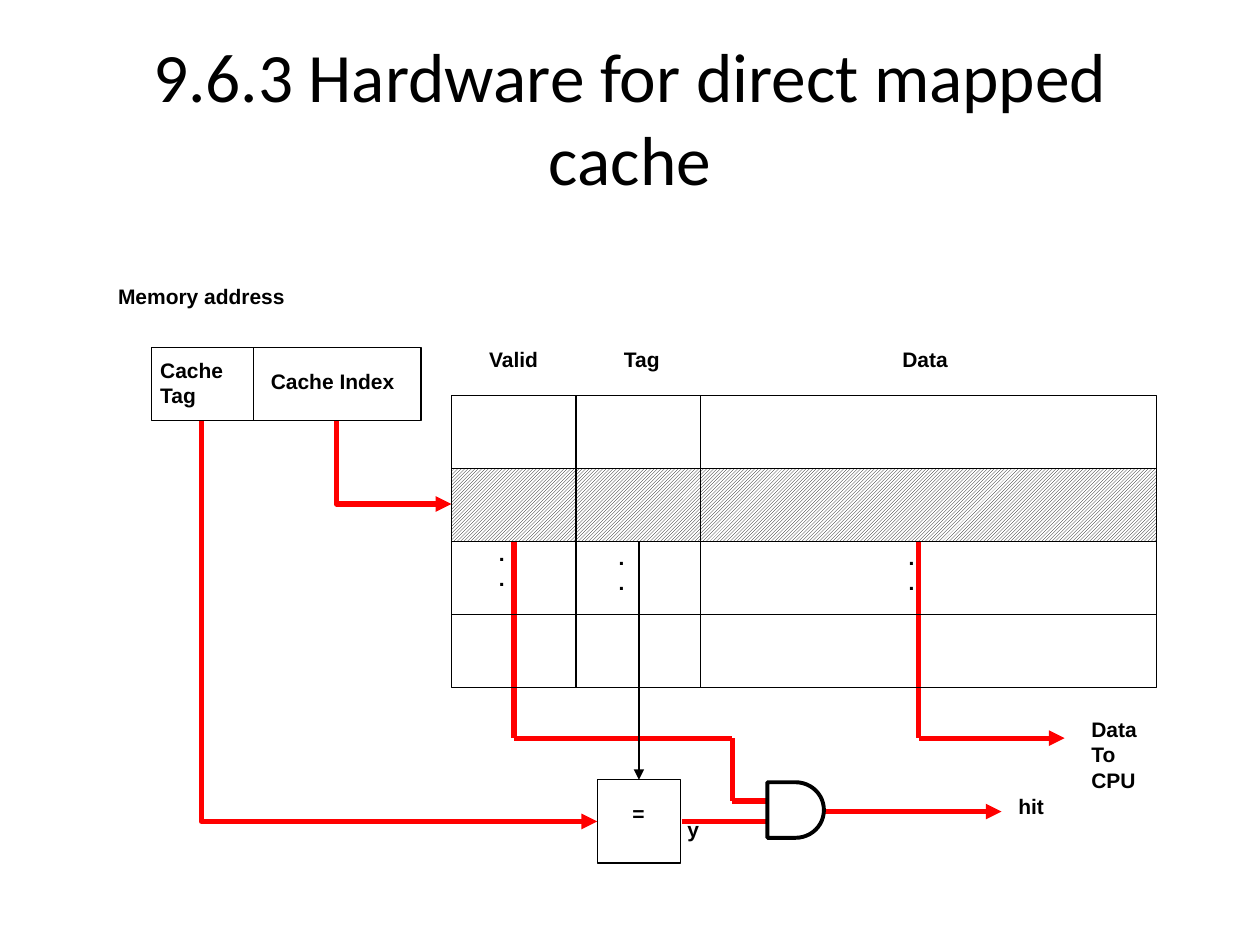
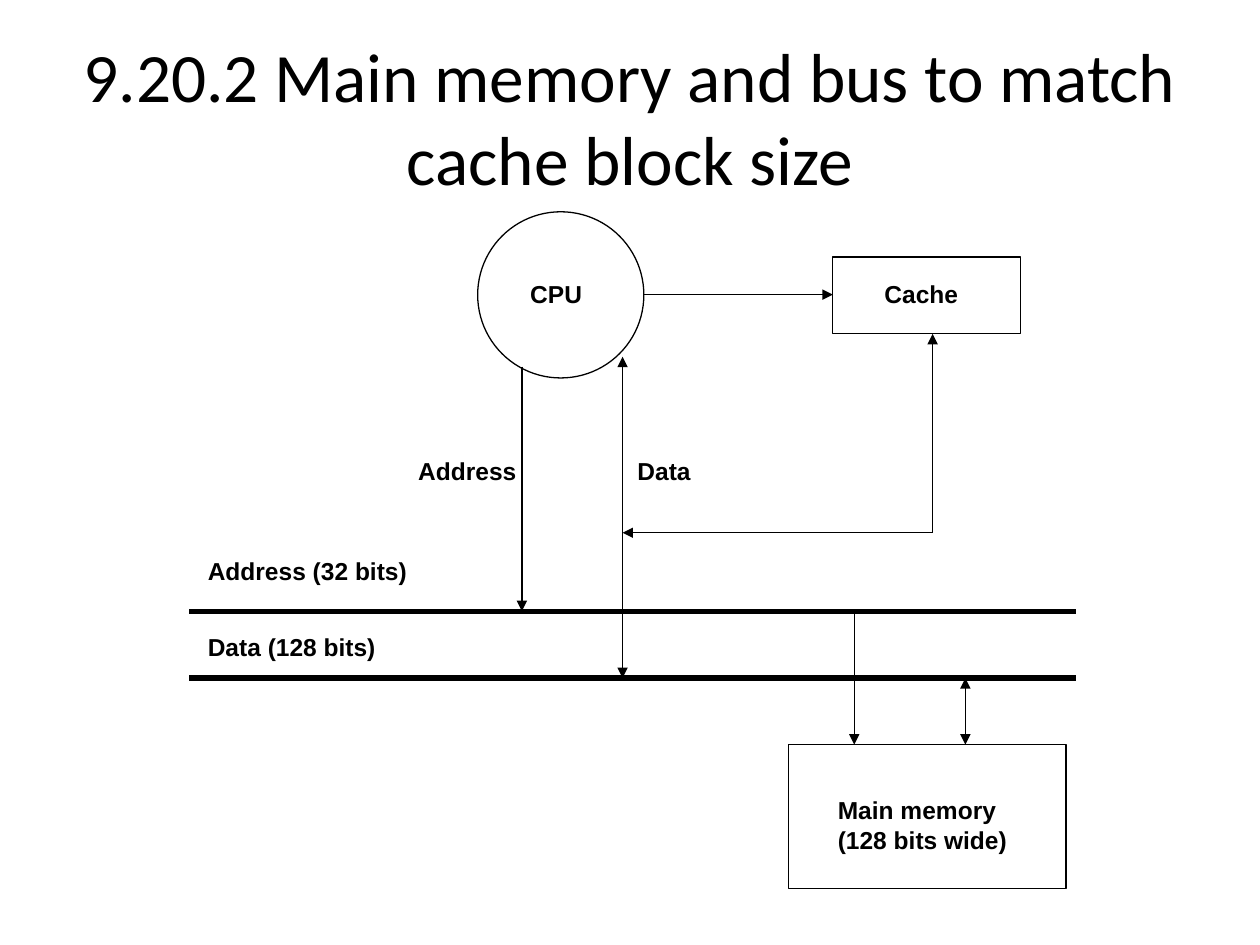
from itertools import accumulate, pairwise

from lxml import etree
from pptx import Presentation
from pptx import util as u
from pptx.dml.color import RGBColor
from pptx.enum import dml, shapes, text
from pptx.oxml.ns import qn

COLORS = {"ink": "000000", "paper": "FFFFFF", "signal": "FF0000"}
THIN, GATE, THICK = 0.75, 2.25, 3
RECT = shapes.MSO_SHAPE.RECTANGLE
OVAL = shapes.MSO_SHAPE.OVAL
DELAY = shapes.MSO_SHAPE.FLOWCHART_DELAY

# Cache array: column widths, and rows from the top (all in cm)
ARRAY_LEFT, ARRAY_TOP, ROW_HEIGHT = 9.1, 7.98, 1.47
COLUMN_WIDTHS = [2.51, 2.51, 9.2]
ROW_COUNT, SELECTED_ROW = 4, 1

# Labels: paragraphs, (left, top, width, height)
# Shapes: kind, (left, top, width, height), line width
# Wires: corner points, colour, line width, arrow ends
# Elbows: from, to
SLIDES = [
    {
        "title": "9.6.3 Hardware for direct mapped cache",
        "size": 12, "insets": (0.13, 0.05),
        "panels": [
            (["y"], (13.61, 16.33, 1.4, 1.09)),
            (["Memory address"], (2.13, 5.59, 6.76, 1.12)),
        ],
        "labels": [
            (["Cache Tag"], (3.1, 7.16, 2.06, 1.19)),
            (["Cache Index"], (5.33, 7.37, 2.92, 0.69)),
            (["Valid"], (9.73, 6.93, 1.63, 0.69)),
            (["Tag"], (12.45, 6.93, 1.47, 0.69)),
            (["Data"], (18.06, 6.93, 1.6, 0.69)),
            ([".", "."], (9.93, 10.85, 0.53, 1.19)),
            ([".", "."], (12.34, 10.92, 0.53, 1.19)),
            ([".", "."], (18.19, 10.92, 0.53, 1.19)),
            (["="], (12.62, 16.08, 0.66, 0.69)),
            (["hit"], (20.4, 15.95, 0.91, 0.69)),
            (["Data", "To", "CPU"], (21.87, 14.4, 1.3, 1.68)),
        ],
        "shapes": [
            (RECT, (3.05, 7.01, 2.06, 1.47), THIN),
            (RECT, (5.11, 7.01, 3.38, 1.47), THIN),
            (RECT, (12.04, 15.72, 1.68, 1.68), THIN),
            (DELAY, (15.47, 15.77, 1.14, 1.12), GATE),
        ],
        "elbows": [
            ((6.78, 8.48), (9.1, 10.16)),
            ((4.06, 8.48), (12.04, 16.56)),
        ],
        "wires": [
            ([(13.74, 16.56), (15.47, 16.56)], "signal", THICK, ""),
            ([(10.36, 10.85), (10.36, 14.88), (14.76, 14.88),
              (14.76, 16.15), (15.47, 16.15)], "signal", THICK, ""),
            ([(16.64, 16.36), (20.19, 16.36)], "signal", THICK, "end"),
            ([(18.52, 10.92), (18.52, 14.88), (21.46, 14.88)],
             "signal", THICK, "end"),
            ([(12.88, 10.92), (12.88, 15.72)], "ink", THIN, "end"),
        ],
    },
    {
        "title": "9.20.2 Main memory and bus to match cache block size",
        "size": 14, "insets": (0.15, 0.08),
        "panels": [],
        "labels": [
            (["CPU"], (10.54, 5.54, 1.5, 0.74)),
            (["Cache"], (17.68, 5.54, 2.11, 0.74)),
            (["Main memory", "(128 bits wide)"], (16.74, 15.95, 4.98, 1.96)),
            (["Address"], (8.28, 9.12, 2.92, 0.74)),
            (["Data"], (12.7, 9.12, 1.63, 0.74)),
            (["Address (32 bits)"], (4.04, 11.13, 4.45, 0.74)),
            (["Data (128 bits)"], (4.04, 12.67, 3.89, 0.74)),
        ],
        "shapes": [
            (OVAL, (9.63, 4.27, 3.35, 3.35), THIN),
            (RECT, (16.79, 5.18, 3.78, 1.55), THIN),
            (RECT, (15.9, 15.01, 5.59, 2.9), THIN),
        ],
        "elbows": [],
        "wires": [
            ([(3.81, 12.32), (21.69, 12.32)], "ink", THICK, ""),
            ([(3.81, 13.67), (21.69, 13.67)], "ink", THICK, ""),
            ([(12.98, 5.94), (16.79, 5.94)], "ink", THIN, "end"),
            ([(10.52, 7.39), (10.52, 12.32)], "ink", THIN, "end"),
            ([(17.22, 12.32), (17.22, 15.01)], "ink", THIN, "end"),
            ([(19.46, 13.67), (19.46, 15.01)], "ink", THIN, "both"),
            ([(12.55, 7.19), (12.55, 13.67)], "ink", THIN, "both"),
            ([(18.8, 6.73), (18.8, 10.74), (12.55, 10.74)],
             "ink", THIN, "both"),
        ],
    },
]


def rgb(name):
    return RGBColor.from_string(COLORS[name])


def cm(values):
    return [u.Cm(v) for v in values]


def add_text(s, paragraphs, box, size, font="Arial", bold=True,
             insets=(0.25, 0.13), align=text.PP_ALIGN.LEFT,
             anchor=text.MSO_ANCHOR.TOP):
    sp = s.shapes.add_textbox(*cm(box))
    tf = sp.text_frame
    tf.word_wrap = True
    tf.vertical_anchor = anchor
    tf.margin_left = tf.margin_right = u.Cm(insets[0])
    tf.margin_top = tf.margin_bottom = u.Cm(insets[1])
    for i, words in enumerate(paragraphs):
        p = tf.add_paragraph() if i else tf.paragraphs[0]
        p.alignment = align
        r = p.add_run()
        r.text = words
        r.font.name, r.font.size, r.font.bold = font, u.Pt(size), bold
        r.font.color.rgb = rgb("ink")
    return sp


def add_outline(s, kind, box, width, hatched=False):
    sp = s.shapes.add_shape(kind, *cm(box))
    sp.shadow.inherit = False
    sp.line.color.rgb = rgb("ink")
    sp.line.width = u.Pt(width)
    if hatched:
        sp.fill.patterned()
        sp.fill.pattern = dml.MSO_PATTERN.DARK_UPWARD_DIAGONAL
        sp.fill.fore_color.rgb = rgb("ink")
        sp.fill.back_color.rgb = rgb("paper")
    else:
        sp.fill.background()


def add_line(s, start, end, color, width, head=False, tail=False,
             kind=shapes.MSO_CONNECTOR.STRAIGHT):
    c = s.shapes.add_connector(kind, *cm(start + end))
    c.line.color.rgb = rgb(color)
    c.line.width = u.Pt(width)
    ln = c.line._get_or_add_ln()
    for wanted, tag in ((head, "a:headEnd"), (tail, "a:tailEnd")):
        if wanted:
            etree.SubElement(ln, qn(tag), type="triangle")
    etree.SubElement(c._element.spPr, qn("a:effectLst"))
    return c


def add_wire(s, points, color, width, arrows):
    """Join the points by straight lines, with arrowheads at the outer ends."""
    legs = list(pairwise(points))
    for i, (start, end) in enumerate(legs):
        add_line(s, start, end, color, width,
                 head=arrows == "both" and i == 0,
                 tail=arrows != "" and i == len(legs) - 1)


def add_elbow(s, start, end):
    """Arrow that goes down, then right: a two-leg connector turned by 270°."""
    (x1, y1), (x2, y2) = start, end
    cx, cy = (x1 + x2) / 2, (y1 + y2) / 2
    dx, dy = (y2 - y1) / 2, (x2 - x1) / 2
    c = add_line(s, (cx + dx, cy - dy), (cx - dx, cy + dy), "signal", THICK,
                 tail=True, kind=shapes.MSO_CONNECTOR.ELBOW)
    spPr = c._element.spPr
    spPr.find(qn("a:prstGeom")).set("prst", "bentConnector2")
    spPr.find(qn("a:xfrm")).set("rot", str(270 * 60000))


def add_cache_array(s):
    lefts = accumulate(COLUMN_WIDTHS[:-1], initial=ARRAY_LEFT)
    for left, width in zip(lefts, COLUMN_WIDTHS):
        for row in range(ROW_COUNT):
            top = ARRAY_TOP + row * ROW_HEIGHT
            add_outline(s, RECT, (left, top, width, ROW_HEIGHT), THIN,
                        hatched=row == SELECTED_ROW)


def add_diagram(prs, content):
    s = prs.slides.add_slide(prs.slide_layouts[6])
    add_text(s, [content["title"]], (1.27, 0.76, 22.86, 3.18), 39.6,
             font="Calibri", bold=False, align=text.PP_ALIGN.CENTER,
             anchor=text.MSO_ANCHOR.MIDDLE)
    for paragraphs, box in content["panels"]:
        sp = add_text(s, paragraphs, box, content["size"])
        sp.fill.solid()
        sp.fill.fore_color.rgb = rgb("paper")
    for paragraphs, box in content["labels"]:
        add_text(s, paragraphs, box, content["size"],
                 insets=content["insets"])
    for start, end in content["elbows"]:
        add_elbow(s, start, end)
    for wire in content["wires"]:
        add_wire(s, *wire)
    for outline in content["shapes"]:
        add_outline(s, *outline)
    return s


def main():
    prs = Presentation()
    prs.slide_width, prs.slide_height = cm((25.4, 19.05))
    direct_mapped, _ = [add_diagram(prs, content) for content in SLIDES]
    add_cache_array(direct_mapped)
    prs.save("out.pptx")


if __name__ == "__main__":
    main()
